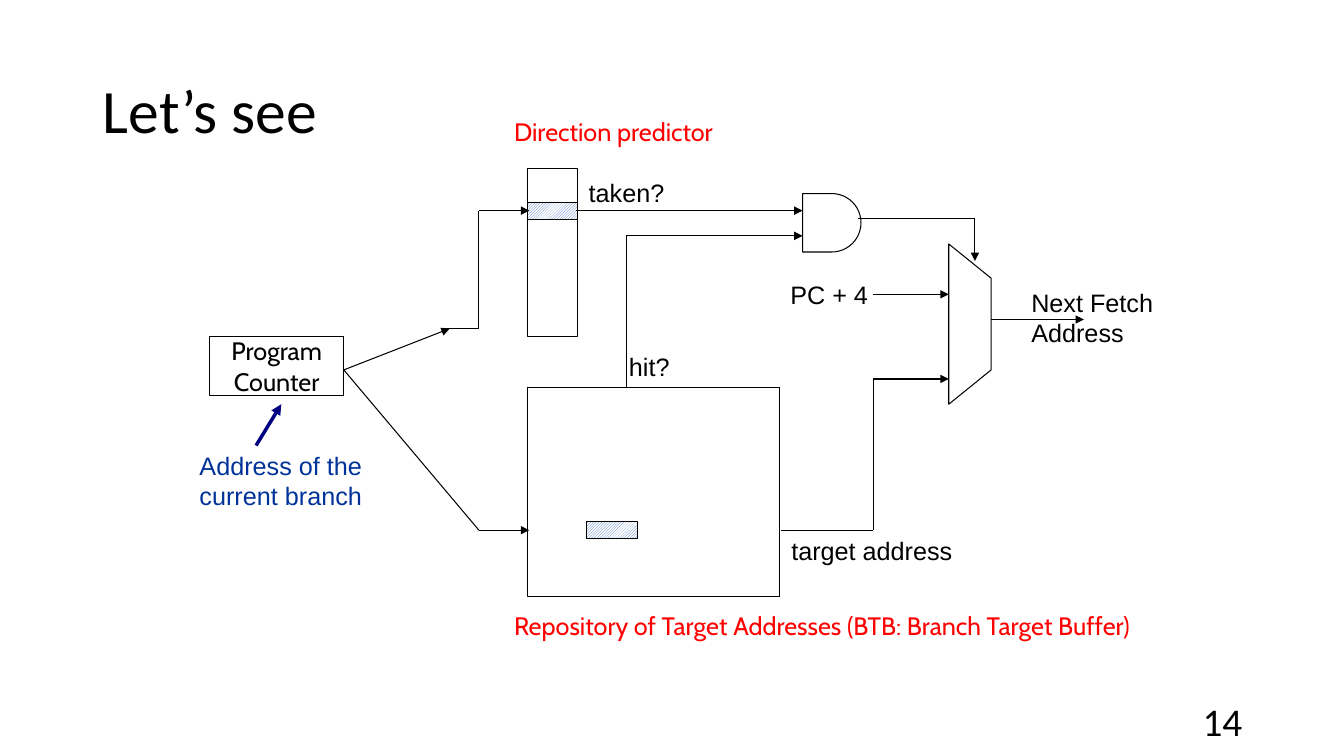
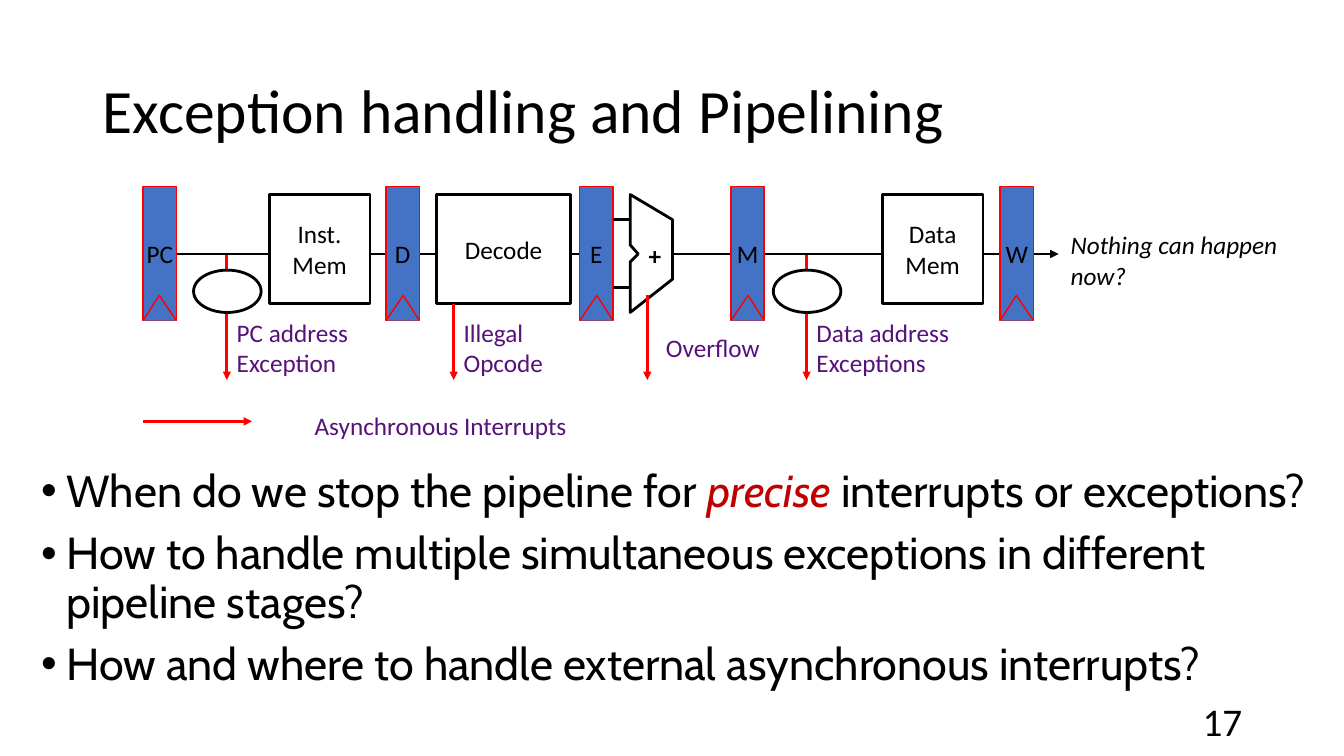
from itertools import pairwise

from lxml import etree
from pptx import Presentation
from pptx.dml.color import RGBColor
from pptx.enum.dml import MSO_PATTERN
from pptx.enum.shapes import MSO_CONNECTOR, MSO_SHAPE
from pptx.enum.text import MSO_ANCHOR, MSO_AUTO_SIZE, PP_ALIGN
from pptx.oxml.ns import qn
from pptx.util import Emu, Pt

PX = 9144  # 100 px to the inch
RECT, OVAL, AND_GATE = MSO_SHAPE.RECTANGLE, MSO_SHAPE.OVAL, MSO_SHAPE.FLOWCHART_DELAY
STRAIGHT = MSO_CONNECTOR.STRAIGHT
HATCH = MSO_PATTERN.DARK_UPWARD_DIAGONAL
LEFT, CENTER, RIGHT = PP_ALIGN.LEFT, PP_ALIGN.CENTER, PP_ALIGN.RIGHT
TOP, MIDDLE = MSO_ANCHOR.TOP, MSO_ANCHOR.MIDDLE
NO_AUTOFIT = MSO_AUTO_SIZE.NONE

COLORS = {
    "black": "000000", "white": "FFFFFF", "red": "FF0000", "blue": "4472C4",
    "navy": "000080", "note": "003399", "purple": "56127A", "emphasis": "C00000",
}
TITLE_BOX = (92, 40, 1150, 145)
NUMBER_BOX = (942, 695, 300, 40)

# Branch prediction: boxes are left, top, width, height
TABLES = [(523, 167, 50, 167), (523, 384, 250, 208)]
ENTRIES = [(523, 201, 50, 17), (582, 517, 50, 17)]
PROGRAM_COUNTER = (208, 334, 133, 58)
GATE = (796, 192, 58, 58)
MUX = [(941, 242), (983, 276), (983, 367), (941, 401)]
WIRES = [  # points, ends in an arrow
    ([(341, 367), (446, 326)], True),
    ([(441, 326), (475, 326), (475, 209), (525, 209)], True),
    ([(341, 367), (475, 526), (525, 526)], True),
    ([(775, 526), (866, 526), (866, 376), (941, 376)], True),
    ([(866, 292), (941, 292)], True),
    ([(983, 317), (1075, 317)], True),
    ([(571, 209), (796, 209)], True),
    ([(851, 217), (967, 217), (967, 259)], True),
    ([(621, 384), (621, 234), (796, 234)], True),
]
ADDRESS_POINTER = [(254, 442), (279, 401)]
SIGNAL_LABELS = [
    ((775, 526, 180, 40), ["target address"], "Arial", "black"),
    ((774, 272, 98, 40), ["PC + 4"], "Arial", "black"),
    ((574, 171, 95, 40), ["taken?"], "Arial", "black"),
    ((1013, 280, 141, 70), ["Next Fetch", "Address"], "Arial", "black"),
    ((614, 344, 60, 40), ["hit?"], "Arial", "black"),
    ((188, 442, 188, 70), ["Address of the", "current branch"], "Arial", "note"),
    ((500, 111, 226, 40), ["Direction predictor"], "Cabin", "red"),
    ((500, 601, 683, 40),
     ["Repository of Target Addresses (BTB: Branch Target Buffer)"], "Cabin", "red"),
]

# Pipeline
SPINE_Y = 252
REGISTER_TOP, REGISTER_WIDTH, REGISTER_HEIGHT, CLOCK_HEIGHT = 185, 33, 133, 25
REGISTERS = [("PC", 142), ("D", 383), ("E", 575), ("M", 725), ("W", 992)]
STAGE_TOP, STAGE_HEIGHT = 193, 108
STAGES = [("Inst. Mem", 267, 100), ("Decode", 433, 133), ("Data Mem", 875, 100)]
ALU = [(625, 193), (625, 243), (633, 252), (625, 260), (625, 310), (667, 277), (667, 218)]
ALU_INPUTS = [218, 285]
CHECK_WIDTH, CHECK_HEIGHT, CHECK_TOP = 67, 42, 268
CHECKED_X = [800, 225]
EXCEPTION_BOTTOM = 377
UNIT_EXCEPTIONS = [(450, 302), (642, 293)]  # x, top
INTERRUPT_ARROW = [(142, 418), (250, 418)]
EXCEPTION_LABELS = [  # box, text, alignment, anchor, wrap
    ((450, 310, 133, 70), "Illegal Opcode", LEFT, MIDDLE, True),
    ((650, 325, 114, 40), "Overflow", CENTER, MIDDLE, False),
    ((800, 310, 200, 70), "Data address Exceptions", LEFT, MIDDLE, True),
    ((225, 310, 176, 70), "PC address Exception", LEFT, MIDDLE, True),
    ((258, 402, 358, 40), "Asynchronous Interrupts", CENTER, TOP, True),
]
QUESTIONS = [
    [("When do we stop the pipeline for ", {}),
     ("precise", {"color": "emphasis", "italic": True}),
     (" interrupts or exceptions?", {})],
    "How to handle multiple simultaneous exceptions in different pipeline stages?",
    "How and where to handle external asynchronous interrupts?",
]


def rgb(name):
    return RGBColor.from_string(COLORS[name])


def emu(box):
    return [Emu(length * PX) for length in box]


def add_bullet(paragraph, indent):
    props = paragraph._p.get_or_add_pPr()
    props.set("marL", str(indent * PX))
    props.set("indent", str(-indent * PX))
    etree.SubElement(props, qn("a:buFont")).set("typeface", "Arial")
    etree.SubElement(props, qn("a:buChar")).set("char", "•")


def write(shape, paragraphs, *, size=18, font="Calibri", color="black", bold=False,
          italic=False, align=LEFT, anchor=TOP, wrap=False, line_spacing=None,
          space_before=0, bullet_indent=0):
    """Fill a shape; a paragraph is a string or a list of (text, overrides) runs."""
    frame = shape.text_frame
    frame.auto_size = NO_AUTOFIT
    frame.word_wrap = wrap
    frame.vertical_anchor = anchor
    for index, content in enumerate(paragraphs):
        paragraph = frame.add_paragraph() if index else frame.paragraphs[0]
        if bullet_indent:
            add_bullet(paragraph, bullet_indent)
        paragraph.alignment = align
        if line_spacing:
            paragraph.line_spacing = line_spacing
        if index and space_before:
            paragraph.space_before = Pt(space_before)
        runs = [(content, {})] if isinstance(content, str) else content
        for text, override in runs:
            run = paragraph.add_run()
            run.text = text
            run.font.size = Pt(size)
            run.font.name = font
            run.font.bold = bold
            run.font.italic = override.get("italic", italic)
            run.font.color.rgb = rgb(override.get("color", color))


def add_label(slide, box, paragraphs, **text_format):
    write(slide.shapes.add_textbox(*emu(box)), paragraphs, **text_format)


def paint(shape, fill, line, width):
    shape.shadow.inherit = False
    if fill:
        shape.fill.solid()
        shape.fill.fore_color.rgb = rgb(fill)
    else:
        shape.fill.background()
    shape.line.color.rgb = rgb(line)
    shape.line.width = Pt(width)
    return shape


def add_box(slide, kind, box, fill=None, line="black", width=0.75):
    return paint(slide.shapes.add_shape(kind, *emu(box)), fill, line, width)


def add_outline(slide, points, close=True, fill=None, line="black", width=0.75):
    builder = slide.shapes.build_freeform(*points[0], scale=PX)
    builder.add_line_segments(points[1:], close=close)
    return paint(builder.convert_to_shape(), fill, line, width)


def add_wire(slide, points, color="black", width=0.75, arrow=False):
    """Join the points with straight lines; the arrowhead sits on the last."""
    for start, end in pairwise(points):
        segment = slide.shapes.add_connector(STRAIGHT, *emu(start + end))
        segment.line.color.rgb = rgb(color)
        segment.line.width = Pt(width)
        props = segment.element.spPr
        if arrow and end == points[-1]:
            etree.SubElement(props.find(qn("a:ln")), qn("a:tailEnd")).set("type", "triangle")
        etree.SubElement(props, qn("a:effectLst"))


def add_titled_slide(deck, title, number):
    slide = deck.slides.add_slide(deck.slide_layouts[5])
    heading = slide.shapes.title
    heading.left, heading.top, heading.width, heading.height = emu(TITLE_BOX)
    write(heading, [title], size=44, anchor=MIDDLE, wrap=True, line_spacing=0.9)
    add_label(slide, NUMBER_BOX, [str(number)], size=28, align=RIGHT,
              anchor=MIDDLE, wrap=True)
    return slide


def build_branch_slide(deck):
    slide = add_titled_slide(deck, "Let’s see", 14)
    for table in TABLES:
        add_box(slide, RECT, table)
    for entry in ENTRIES:
        fill = add_box(slide, RECT, entry).fill
        fill.patterned()
        fill.pattern = HATCH
        fill.fore_color.rgb = rgb("blue")
        fill.back_color.rgb = rgb("white")
    counter = add_box(slide, RECT, PROGRAM_COUNTER)
    write(counter, ["Program", "Counter"], font="Cabin", align=CENTER, anchor=MIDDLE)
    add_box(slide, AND_GATE, GATE)
    add_outline(slide, MUX)
    for points, arrow in WIRES:
        add_wire(slide, points, arrow=arrow)
    add_wire(slide, ADDRESS_POINTER, color="navy", width=2.5, arrow=True)
    for box, lines, font, color in SIGNAL_LABELS:
        add_label(slide, box, lines, font=font, color=color)


def add_register(slide, name, left):
    style = {"fill": "blue", "line": "red", "width": 1}
    body = add_box(slide, RECT, (left, REGISTER_TOP, REGISTER_WIDTH, REGISTER_HEIGHT), **style)
    write(body, [name], align=CENTER, anchor=MIDDLE)
    bottom = REGISTER_TOP + REGISTER_HEIGHT
    clock = [(left, bottom), (left + REGISTER_WIDTH / 2, bottom - CLOCK_HEIGHT),
             (left + REGISTER_WIDTH, bottom)]
    add_outline(slide, clock, close=False, **style)


def build_pipeline_slide(deck):
    slide = add_titled_slide(deck, "Exception handling and Pipelining", 17)
    unit = {"fill": "white", "width": 2}
    exception = {"color": "red", "width": 2, "arrow": True}

    for x in CHECKED_X:
        add_wire(slide, [(x, SPINE_Y), (x, EXCEPTION_BOTTOM)], **exception)
    add_wire(slide, [(667, SPINE_Y), (1050, SPINE_Y)], width=2, arrow=True)
    add_wire(slide, [(158, SPINE_Y), (575, SPINE_Y)], width=2)
    for name, left in REGISTERS:
        add_register(slide, name, left)
    for name, left, width in STAGES:
        stage = add_box(slide, RECT, (left, STAGE_TOP, width, STAGE_HEIGHT), **unit)
        write(stage, [name], align=CENTER, anchor=MIDDLE, wrap=True)
    add_outline(slide, ALU, **unit)
    for y in ALU_INPUTS:
        add_wire(slide, [(608, y), (625, y)], width=2)
    add_label(slide, (634, 235, 31, 37), ["+"], bold=True, align=CENTER, anchor=MIDDLE)
    for x in CHECKED_X:
        add_box(slide, OVAL, (x - CHECK_WIDTH // 2, CHECK_TOP, CHECK_WIDTH, CHECK_HEIGHT), **unit)
    for x, top in UNIT_EXCEPTIONS:
        add_wire(slide, [(x, top), (x, EXCEPTION_BOTTOM)], **exception)
    add_wire(slide, INTERRUPT_ARROW, **exception)
    for box, text, align, anchor, wrap in EXCEPTION_LABELS:
        add_label(slide, box, [text], color="purple", align=align, anchor=anchor, wrap=wrap)
    add_label(slide, (1052, 223, 262, 71), ["Nothing can happen", "now?"],
              italic=True, wrap=True)
    add_label(slide, (31, 460, 1283, 200), QUESTIONS, size=32, font="Cabin", wrap=True,
              line_spacing=0.9, space_before=10, bullet_indent=25)


def main():
    deck = Presentation()
    deck.slide_width, deck.slide_height = emu((1333, 750))
    build_branch_slide(deck)
    build_pipeline_slide(deck)
    deck.save("out.pptx")


if __name__ == "__main__":
    main()
